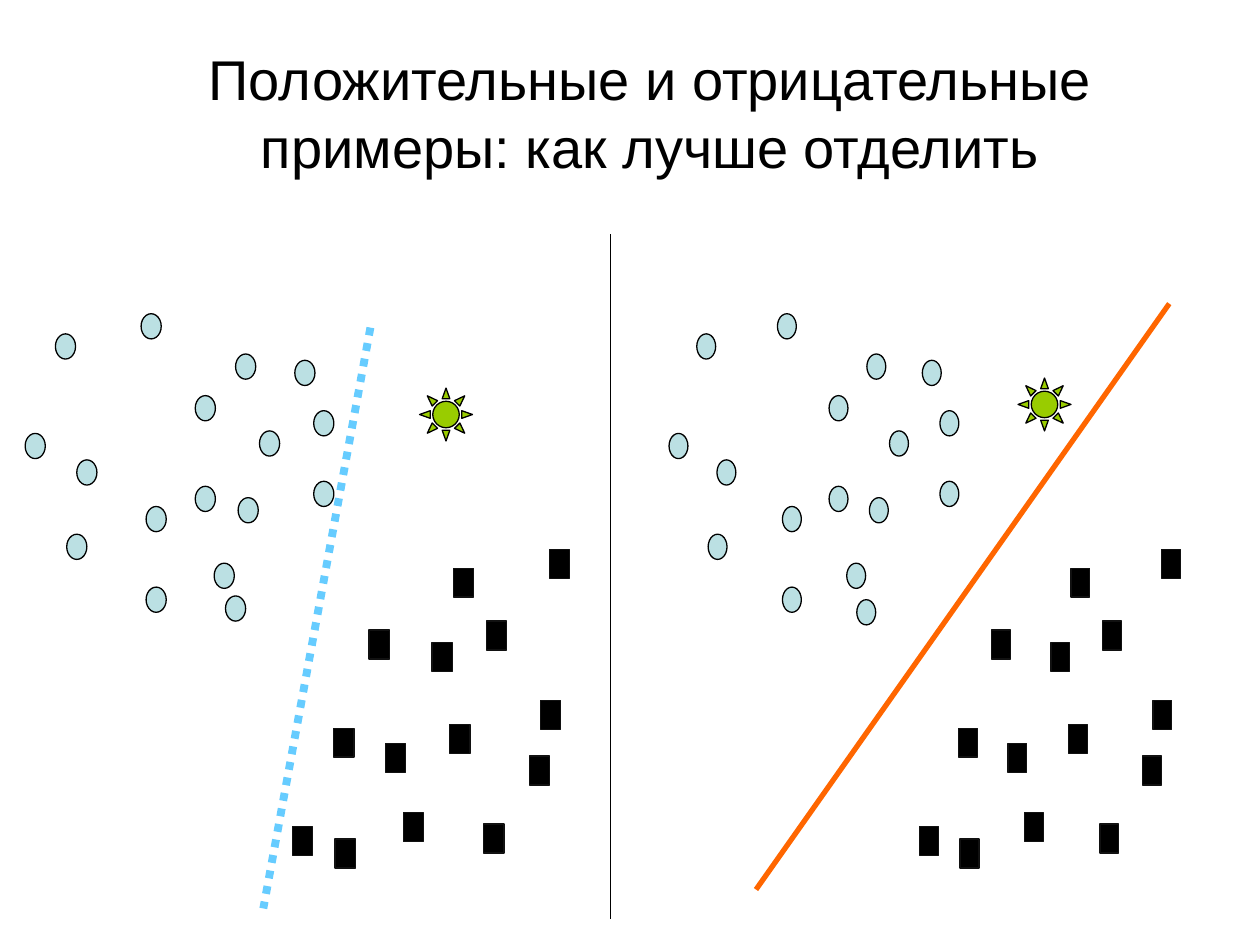
from dataclasses import dataclass

from lxml.etree import SubElement
from pptx import Presentation
from pptx.dml.color import RGBColor as RGB
from pptx.enum.dml import MSO_LINE as Dash
from pptx.enum.shapes import MSO_CONNECTOR as Link, MSO_SHAPE as Kind
from pptx.enum.text import MSO_ANCHOR as Anchor, MSO_AUTO_SIZE as Fit, PP_ALIGN as Align
from pptx.oxml.ns import qn
from pptx.util import Pt

SCALE = 9144


def px(n):
    return round(n) * SCALE


@dataclass(frozen=True)
class Theme:
    font: str = "Arial"
    title: int = 32
    ink: str = "000000"
    edge: str = "111111"
    dot: str = "BBE0E3"
    sun: str = "99CC00"
    poor: str = "66CCFF"
    good: str = "FF6600"
    thin: float = 0.75


def write(frame, text, *, font, size, color, align=Align.CENTER, anchor=Anchor.MIDDLE):
    frame.word_wrap = True
    frame.auto_size = Fit.NONE
    frame.vertical_anchor = anchor
    frame.text = text
    para = frame.paragraphs[0]
    para.alignment = align
    face = para.runs[0].font
    face.name, face.size = font, Pt(size)
    face.color.rgb = RGB.from_string(color)


class Board:
    def __init__(self, slide, theme):
        self.slide, self.theme = slide, theme

    def title(self, text, x, y, w, h):
        box = self.slide.shapes.title
        box.left, box.top, box.width, box.height = map(px, (x, y, w, h))
        write(box.text_frame, text, font=self.theme.font,
              size=self.theme.title, color=self.theme.ink)

    def group(self):
        return self.slide.shapes.add_group_shape().shapes

    def mark(self, kind, x, y, w, h, fill, edge, home=None):
        home = home or self.slide.shapes
        shape = home.add_shape(kind, *map(px, (x, y, w, h)))
        shape.shadow.inherit = False
        shape.fill.solid()
        shape.fill.fore_color.rgb = RGB.from_string(fill)
        shape.line.color.rgb = RGB.from_string(edge)
        shape.line.width = Pt(self.theme.thin)

    def line(self, start, end, color, width, dash=None, home=None):
        home = home or self.slide.shapes
        line = home.add_connector(Link.STRAIGHT, *map(px, (*start, *end)))
        line.line.color.rgb = RGB.from_string(color)
        line.line.width = Pt(width)
        if dash:
            line.line.dash_style = dash
        SubElement(line._element.spPr, qn("a:effectLst"))

    def plot(self, dots, boxes, wide, shift, ratio, cut):
        home, look = self.group(), self.theme
        for x, y in dots:
            self.mark(Kind.OVAL, shift + x * ratio, y, wide, 20,
                      look.dot, look.ink, home)
        for x, y in boxes:
            self.mark(Kind.RECTANGLE, shift + x * ratio, y, wide, 23,
                      look.ink, look.edge, home)
        self.line(**cut, home=home)

    def sun(self, x, y):
        self.mark(Kind.SUN, x, y, 42, 42, self.theme.sun, self.theme.ink)


DOTS = [
    (44, 265), (20, 344), (61, 365), (206, 342), (155, 314), (53, 424),
    (249, 326), (189, 395), (116, 402), (116, 466), (187, 281),
    (234, 286), (155, 386), (170, 447), (249, 382), (112, 249),
]
BOXES = [
    (293, 500), (386, 493), (265, 578), (266, 666), (232, 656), (320, 645),
    (384, 654), (357, 575), (360, 451), (420, 600), (343, 510), (306, 590),
    (429, 556), (436, 436),
]


def main():
    deck = Presentation()
    deck.slide_width, deck.slide_height = px(1000), px(750)
    look = Theme()
    board = Board(deck.slides.add_slide(deck.slide_layouts[5]), look)
    board.title("Положительные и отрицательные примеры: как лучше отделить",
                57, 28, 918, 122)
    board.plot(DOTS + [(179, 473)], BOXES, 16, 0, 1,
               dict(start=(294, 260), end=(209, 721), color=look.poor,
                    width=4.5, dash=Dash.ROUND_DOT))
    board.plot(DOTS + [(179, 476)], BOXES, 15, 512, 0.94,
               dict(start=(600, 706), end=(928, 241), color=look.good, width=3))
    board.line((484, 186), (484, 729), look.ink, 0.25)
    board.sun(333, 308)
    board.sun(808, 300)
    deck.save("out.pptx")


if __name__ == "__main__":
    main()
